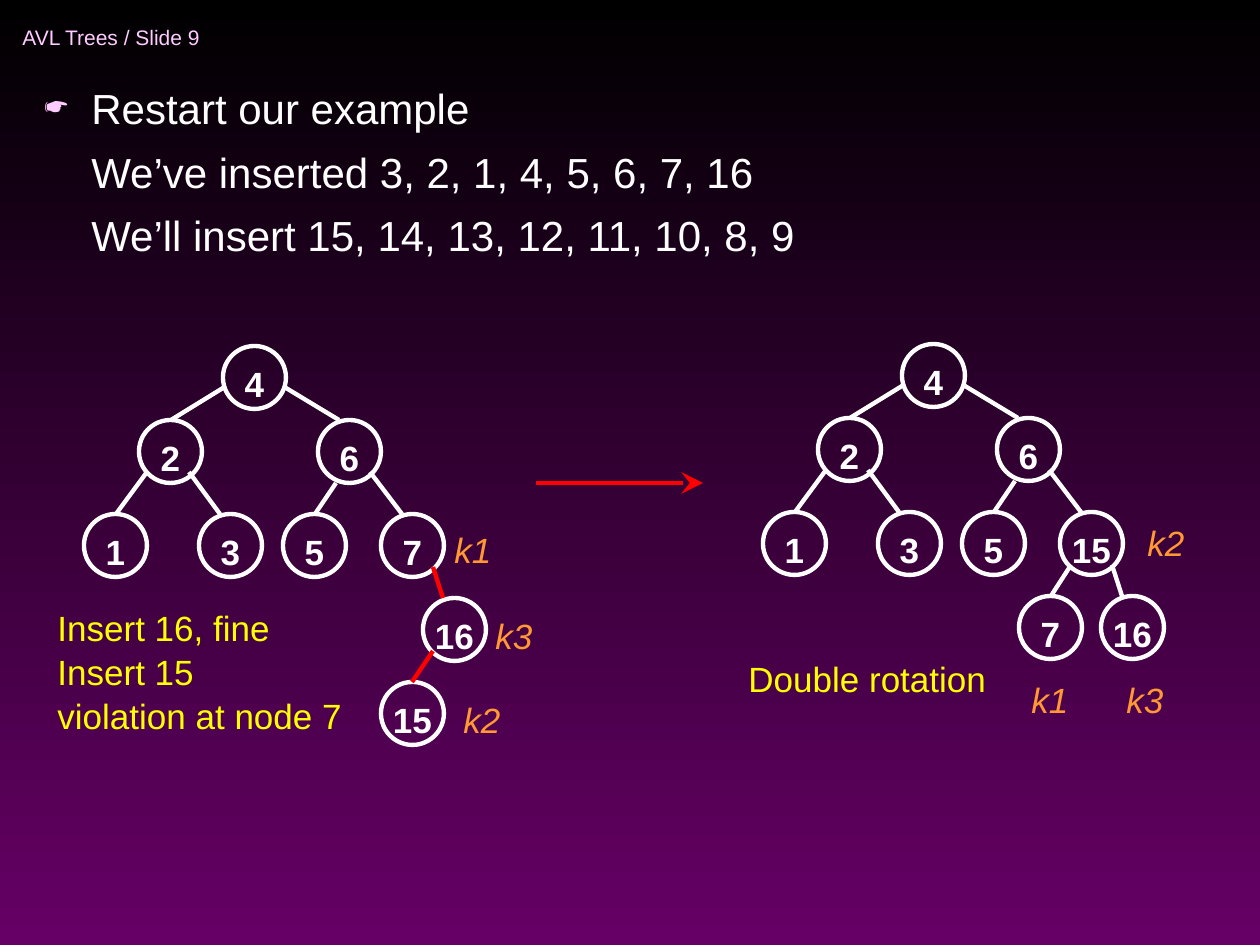
from lxml import etree
from pptx import Presentation
from pptx.dml.color import RGBColor
from pptx.enum.shapes import MSO_CONNECTOR, MSO_SHAPE
from pptx.enum.text import MSO_ANCHOR, PP_ALIGN
from pptx.oxml.ns import qn
from pptx.util import Emu, Pt

PX = 914400 / 126
STRAIGHT, OVAL = MSO_CONNECTOR.STRAIGHT, MSO_SHAPE.OVAL
TOP, MIDDLE, CENTER = MSO_ANCHOR.TOP, MSO_ANCHOR.MIDDLE, PP_ALIGN.CENTER

BLACK = RGBColor(0x00, 0x00, 0x00)
PURPLE = RGBColor(0x66, 0x00, 0x66)
PINK = RGBColor(0xFF, 0xCC, 0xFF)
WHITE = RGBColor(0xFF, 0xFF, 0xFF)
RED = RGBColor(0xFF, 0x00, 0x00)
YELLOW = RGBColor(0xFF, 0xFF, 0x00)
ORANGE = RGBColor(0xFF, 0x99, 0x33)

NODE = 63
LINE_WIDTH = Pt(2.5)

prs = Presentation()
prs.slide_width, prs.slide_height = Emu(round(1260 * PX)), Emu(round(945 * PX))
slide = prs.slides.add_slide(prs.slide_layouts[6])
shapes = slide.shapes

backdrop = slide.background.fill
backdrop.gradient()
backdrop.gradient_angle = 270
for stop, color, position in zip(backdrop.gradient_stops, (BLACK, PURPLE), (0, 1)):
    stop.color.rgb = color
    stop.position = position


def add_text(lines, left, top, width, height, size, color, space=0, italic=False):
    """Add a text box with one paragraph per line and return its text frame."""
    box = shapes.add_textbox(*(Emu(round(v * PX)) for v in (left, top, width, height)))
    frame = box.text_frame
    frame.word_wrap = True
    frame.text = "\n".join(lines)
    for paragraph in frame.paragraphs:
        paragraph.line_spacing = 1.05
        paragraph.space_before = Pt(space)
        font = paragraph.font
        font.name, font.size, font.italic = "Arial", Pt(size), italic
        font.color.rgb = color
    return frame


def add_line(x1, y1, x2, y2, color):
    connector = shapes.add_connector(STRAIGHT, *(Emu(round(v * PX)) for v in (x1, y1, x2, y2)))
    connector.line.color.rgb = color
    connector.line.width = LINE_WIDTH
    etree.SubElement(connector._element.spPr, qn("a:effectLst"))
    return connector


header = add_text(["AVL Trees / Slide 9"], 10, 10, 347, 53, 12, PINK)
header.vertical_anchor = MIDDLE

intro = add_text(
    ["Restart our example",
     "We’ve inserted 3, 2, 1, 4, 5, 6, 7, 16",
     "We’ll insert 15, 14, 13, 12, 11, 10, 8, 9"],
    32, 74, 1081, 136, 24, WHITE, space=6)
hanging = round(47 * PX)
for paragraph in intro.paragraphs:
    paragraph._p.get_or_add_pPr().set("marL", str(hanging))
first_line = intro.paragraphs[0]._p.get_or_add_pPr()
first_line.set("indent", str(-hanging))
bullet_color = etree.Element(qn("a:buClr"))
etree.SubElement(bullet_color, qn("a:srgbClr"), val=str(PINK))
bullet_size = etree.Element(qn("a:buSzPct"), val="75000")
bullet = etree.Element(qn("a:buChar"), char="☛")
spacing_end = first_line.find(qn("a:spcBef"))
for part in (bullet, bullet_size, bullet_color):
    spacing_end.addnext(part)

# Both trees share these nodes and edges; the right tree is moved by its offset.
shared_nodes = [("4", 223, 346), ("2", 139, 420), ("6", 318, 420),
                ("1", 84, 514), ("3", 199, 514), ("5", 283, 514)]
shared_edges = [(223, 388, 171, 420, WHITE), (286, 388, 339, 420, WHITE),
                (147, 472, 116, 514, WHITE), (189, 472, 220, 514, WHITE),
                (336, 483, 315, 514, WHITE), (370, 472, 402, 514, WHITE)]
before = ((0, 0),
          [("7", 381, 514), ("16", 423, 598), ("15", 381, 682)],
          [(433, 567, 443, 598, RED), (433, 651, 412, 682, RED)])
after = ((679, -2),
         [("15", 381, 514), ("7", 340, 598), ("16", 422, 598)],
         [(392, 567, 372, 598, WHITE), (433, 567, 443, 598, WHITE)])

for (dx, dy), own_nodes, own_edges in (before, after):
    for key, left, top in shared_nodes + own_nodes:
        node = shapes.add_shape(OVAL, *(Emu(round(v * PX)) for v in (left + dx, top + dy, NODE, NODE)))
        node.shadow.inherit = False
        node.fill.background()
        node.line.color.rgb = WHITE
        node.line.width = LINE_WIDTH
        frame = node.text_frame
        frame.word_wrap = False
        frame.vertical_anchor = TOP
        frame.margin_left = frame.margin_right = frame.margin_bottom = 0
        frame.margin_top = Emu(round(7 * PX))
        frame.text = key
        label = frame.paragraphs[0]
        label.alignment = CENTER
        label.font.name, label.font.size, label.font.bold = "Arial", Pt(20), True
        label.font.color.rgb = WHITE
    for x1, y1, x2, y2, color in shared_edges + own_edges:
        add_line(x1 + dx, y1 + dy, x2 + dx, y2 + dy, color)

add_text(["Insert 16, fine", "Insert 15", "violation at node 7"], 45, 598, 320, 139, 20, YELLOW)
add_text(["Double rotation"], 736, 649, 270, 55, 20, YELLOW)

for name, left, top in [("k1", 442, 520), ("k3", 483, 606), ("k2", 451, 690),
                        ("k2", 1135, 513), ("k1", 1019, 670), ("k3", 1114, 670)]:
    add_text([name], left, top, 66, 55, 20, ORANGE, italic=True)

rotation_arrow = add_line(536, 483, 703, 483, RED)
etree.SubElement(rotation_arrow.line._get_or_add_ln(), qn("a:tailEnd"),
                 type="stealth", w="lg", len="lg")

prs.save("out.pptx")
